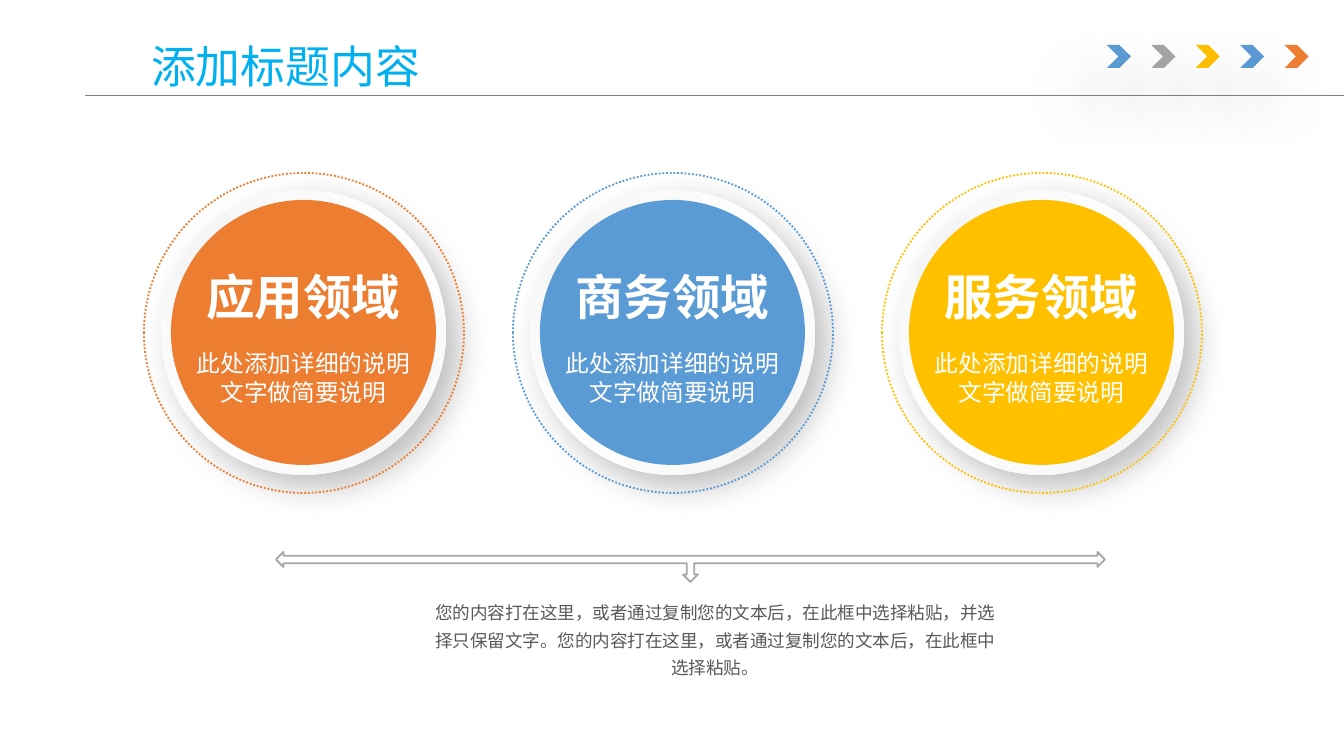
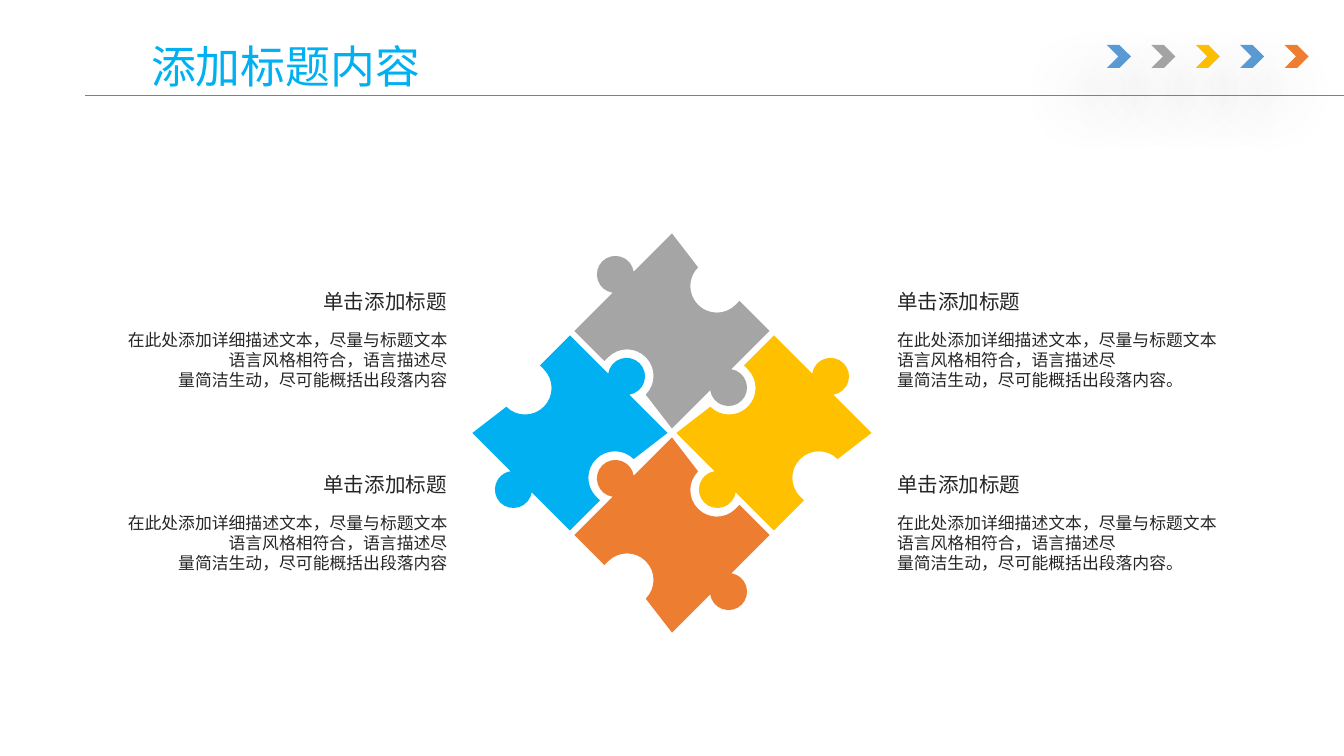
import math

import lxml.etree
import pptx
import pptx.dml.color
import pptx.enum.dml
import pptx.enum.shapes
import pptx.enum.text
import pptx.oxml
import pptx.oxml.ns
import pptx.util

PX = 914400 / 134.4
FONT = "Noto Sans CJK SC"
COLORS = {
    "blue": "5B9BD5", "gray": "A5A5A5", "yellow": "FFC000", "orange": "ED7D31",
    "cyan": "00B0F0", "rule": "808080", "arrow": "A6A6A6", "white": "FFFFFF",
    "rim": "F5F5F5", "body": "595959", "dark": "262626", "black": "000000",
}
RGB = {name: pptx.dml.color.RGBColor.from_string(c) for name, c in COLORS.items()}
SHAPE = pptx.enum.shapes.MSO_SHAPE
ALIGN = pptx.enum.text.PP_ALIGN
ANCHOR = pptx.enum.text.MSO_ANCHOR
qn = pptx.oxml.ns.qn


def add_text(slide, text, box, size, color, align=ALIGN.LEFT, anchor=ANCHOR.TOP,
             margins=(13, 7), spacing=None, first_size=None, first_bold=False, gap=0):
    """Each line of text is a paragraph; first_* and gap set the heading apart."""
    tf = slide.shapes.add_textbox(*[round(v * PX) for v in box]).text_frame
    tf.word_wrap = True
    tf.vertical_anchor = anchor
    tf.margin_left = tf.margin_right = round(margins[0] * PX)
    tf.margin_top = tf.margin_bottom = round(margins[1] * PX)
    for i, line in enumerate(text.split("\n")):
        p = tf.paragraphs[0] if i == 0 else tf.add_paragraph()
        p.alignment = align
        if spacing:
            p.line_spacing = spacing
        if i == 1 and gap:
            p.space_before = pptx.util.Pt(gap)
        r = p.add_run()
        r.text = line
        r.font.size = pptx.util.Pt(first_size if i == 0 and first_size else size)
        r.font.bold = first_bold and i == 0
        r.font.color.rgb = RGB[color]
        r.font.name = FONT
        lxml.etree.SubElement(r.font._element, qn("a:ea"), typeface=FONT)


def style(sp, fill=None, line=None, shadow=None):
    """Shadow is opacity in percent, blur and distance in points, angle in degrees."""
    if fill:
        sp.fill.solid()
        sp.fill.fore_color.rgb = RGB[fill]
    else:
        sp.fill.background()
    if line:
        sp.line.color.rgb = RGB[line]
        sp.line.width = pptx.util.Pt(1)
    else:
        sp.line.fill.background()
    sp.shadow.inherit = False
    if shadow:
        alpha, blur, dist, angle = shadow
        effects = sp._element.spPr.find(qn("a:effectLst"))
        outer = lxml.etree.SubElement(
            effects, qn("a:outerShdw"), blurRad=str(blur * 12700),
            dist=str(dist * 12700), dir=str(angle * 60000), algn="ctr", rotWithShape="0")
        clr = lxml.etree.SubElement(outer, qn("a:srgbClr"), val=COLORS["black"])
        lxml.etree.SubElement(clr, qn("a:alpha"), val=str(alpha * 1000))
    return sp


prs = pptx.Presentation()
prs.slide_width = round(1344 * PX)
prs.slide_height = round(756 * PX)

# Shared header
slides = [prs.slides.add_slide(prs.slide_layouts[6]) for _ in range(2)]
for slide in slides:
    for i, color in enumerate(["blue", "gray", "yellow", "blue", "orange"]):
        box = [round(v * PX) for v in (1107 + 44.4 * i, 45, 24, 23)]
        style(slide.shapes.add_shape(SHAPE.CHEVRON, *box), color, shadow=(38, 36, 24, 130))
    rule = slide.shapes.add_connector(
        pptx.enum.shapes.MSO_CONNECTOR.STRAIGHT,
        *[round(v * PX) for v in (85, 95, 1344, 95)])
    rule.line.color.rgb = RGB["rule"]
    rule.line.width = pptx.util.Pt(0.5)
    lxml.etree.SubElement(rule._element.spPr, qn("a:effectLst"))
    add_text(slide, "添加标题内容", (138, -4, 1158, 147), 24, "cyan",
             anchor=ANCHOR.MIDDLE, spacing=0.9)

# Slide 1: three fields
fields, puzzle = slides
stops = "".join(
    f'<a:gs pos="{pos}"><a:srgbClr val="{COLORS[c]}"/></a:gs>'
    for pos, c in [(0, "white"), (47000, "rim"), (100000, "white")])
RIM_FILL = (f'<a:gradFill {pptx.oxml.ns.nsdecls("a")} rotWithShape="1"><a:gsLst>{stops}'
            '</a:gsLst><a:lin ang="18900000" scaled="0"/></a:gradFill>')

for i, (name, color) in enumerate(
        [("应用领域", "orange"), ("商务领域", "blue"), ("服务领域", "yellow")]):
    dx = 369 * i
    rim, disc, ring = [
        fields.shapes.add_shape(
            SHAPE.OVAL, *[round(v * PX) for v in (left + dx, top, size, size)])
        for left, top, size in [(161, 190, 285), (171, 200, 265), (144, 173, 320)]]
    style(rim, shadow=(25, 18, 9, 45))
    spPr = rim._element.spPr
    spPr.replace(spPr.find(qn("a:noFill")), pptx.oxml.parse_xml(RIM_FILL))
    style(disc, color)
    style(ring, line=color).line.dash_style = pptx.enum.dml.MSO_LINE.ROUND_DOT
    add_text(fields, name + "\n此处添加详细的说明文字做简要说明", (179 + dx, 260, 249, 156),
             12.7, "white", align=ALIGN.CENTER, margins=(15, 7),
             first_size=26, first_bold=True, gap=12.9)

arrow = style(fields.shapes.add_shape(
    SHAPE.LEFT_RIGHT_UP_ARROW, *[round(v * PX) for v in (276, 552, 829, 30)]), line="arrow")
arrow._element.spPr.find(qn("a:xfrm")).set("flipV", "1")
add_text(fields, "您的内容打在这里，或者通过复制您的文本后，在此框中选择粘贴，并选择只保留文字。"
         "您的内容打在这里，或者通过复制您的文本后，在此框中选择粘贴。",
         (426, 593, 578, 87), 9.4, "body", align=ALIGN.CENTER, margins=(5, 3), spacing=1.3)

# Slide 2: four interlocking pieces, each with tabs above and below, sockets at the sides.
# A segment of the outline is one point for a line, or three for a Bezier curve.
HALF, TAB_R, TAB_OUT, SOCKET_R, SOCKET_IN = 69, 18.5, 11, 26.5, 5.5
neck = math.degrees(math.asin(TAB_OUT / TAB_R))
tab = (0, -HALF - TAB_OUT, TAB_R, 180 - neck, 180 + 2 * neck, 4)
socket = (HALF - SOCKET_IN, 0, SOCKET_R, 270, -180, 2)
half_outline = [[(-HALF, -HALF)]]
for cx, cy, radius, start, sweep, parts in (tab, socket):
    step = math.radians(sweep / parts)
    reach = 4 / 3 * math.tan(step / 4)
    for i in range(parts + 1):
        a = math.radians(start) + step * i
        cos, sin = radius * math.cos(a), radius * math.sin(a)
        end = (cx + cos, cy + sin)
        before = (end[0] + reach * sin, end[1] - reach * cos)
        half_outline.append([leaving, before, end] if i else [end])
        leaving = (end[0] - reach * sin, end[1] + reach * cos)
    if radius == TAB_R:
        half_outline.append([(HALF, -HALF)])
    else:
        half_outline.append([(HALF, SOCKET_R)])
outline = half_outline + [[(-x, -y) for x, y in seg] for seg in half_outline]

for dx, dy, color, turn in [(0, -1, "gray", 315), (-1, 0, "cyan", 45),
                            (0, 1, "orange", 315), (1, 0, "yellow", 45)]:
    cx, cy = 672 + 102 * dx, 433 + 102 * dy
    ends = [(round((cx + seg[-1][0]) * PX), round((cy + seg[-1][1]) * PX)) for seg in outline]
    builder = puzzle.shapes.build_freeform(*ends[0], scale=1.0)
    builder.add_line_segments(ends[1:], close=True)
    sp = style(builder.convert_to_shape(), color)
    sp.rotation = turn
    lines = list(sp._element.iter(qn("a:lnTo")))
    for line, seg in zip(lines, outline[1:]):
        if len(seg) == 3:
            curve = lxml.etree.Element(qn("a:cubicBezTo"))
            for x, y in seg:
                lxml.etree.SubElement(curve, qn("a:pt"), x=str(round((cx + x) * PX) - sp.left),
                                      y=str(round((cy + y) * PX) - sp.top))
            line.getparent().replace(line, curve)

for x, align, ending in [(78, ALIGN.RIGHT, ""), (884, ALIGN.LEFT, "。")]:
    for y in (282, 465):
        add_text(puzzle, "单击添加标题\n在此处添加详细描述文本，尽量与标题文本\n"
                 "语言风格相符合，语言描述尽\n量简洁生动，尽可能概括出段落内容" + ending,
                 (x, y, 382, 116), 9, "dark", align=align, first_size=11, gap=8.4)

prs.save("out.pptx")
